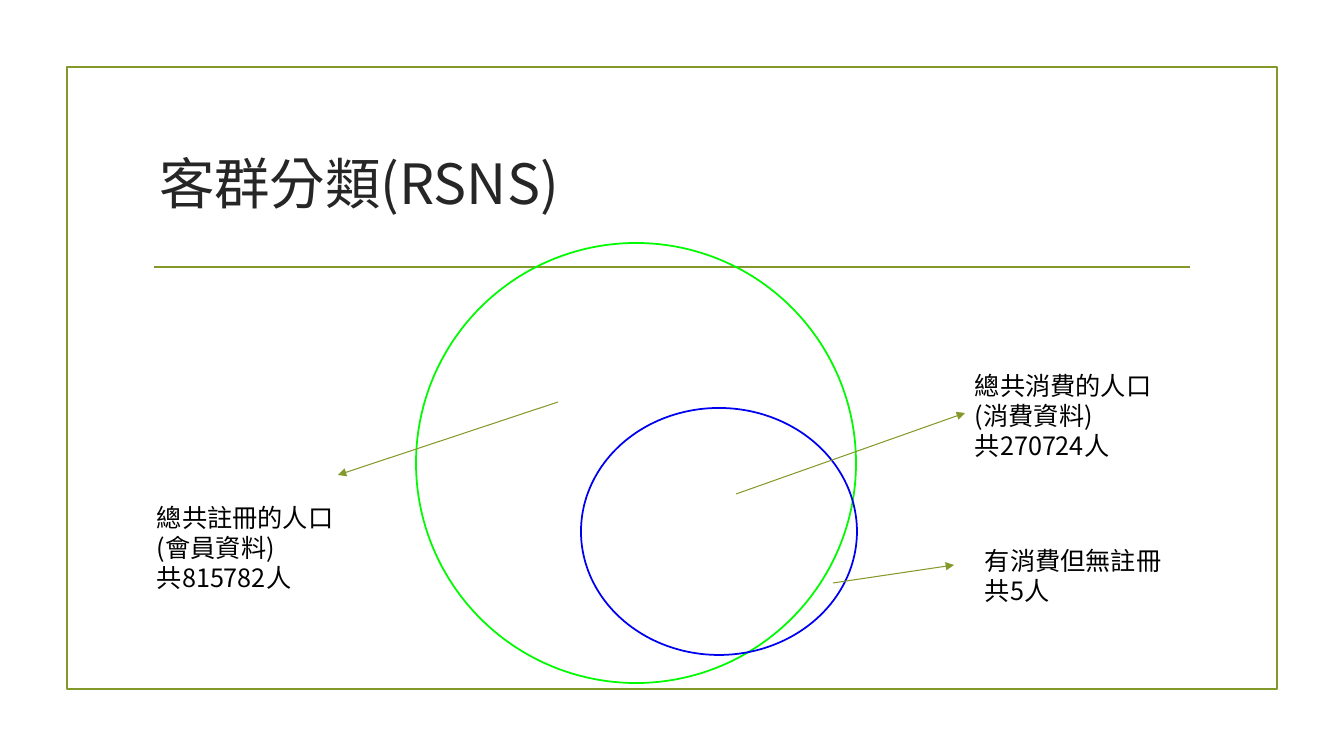
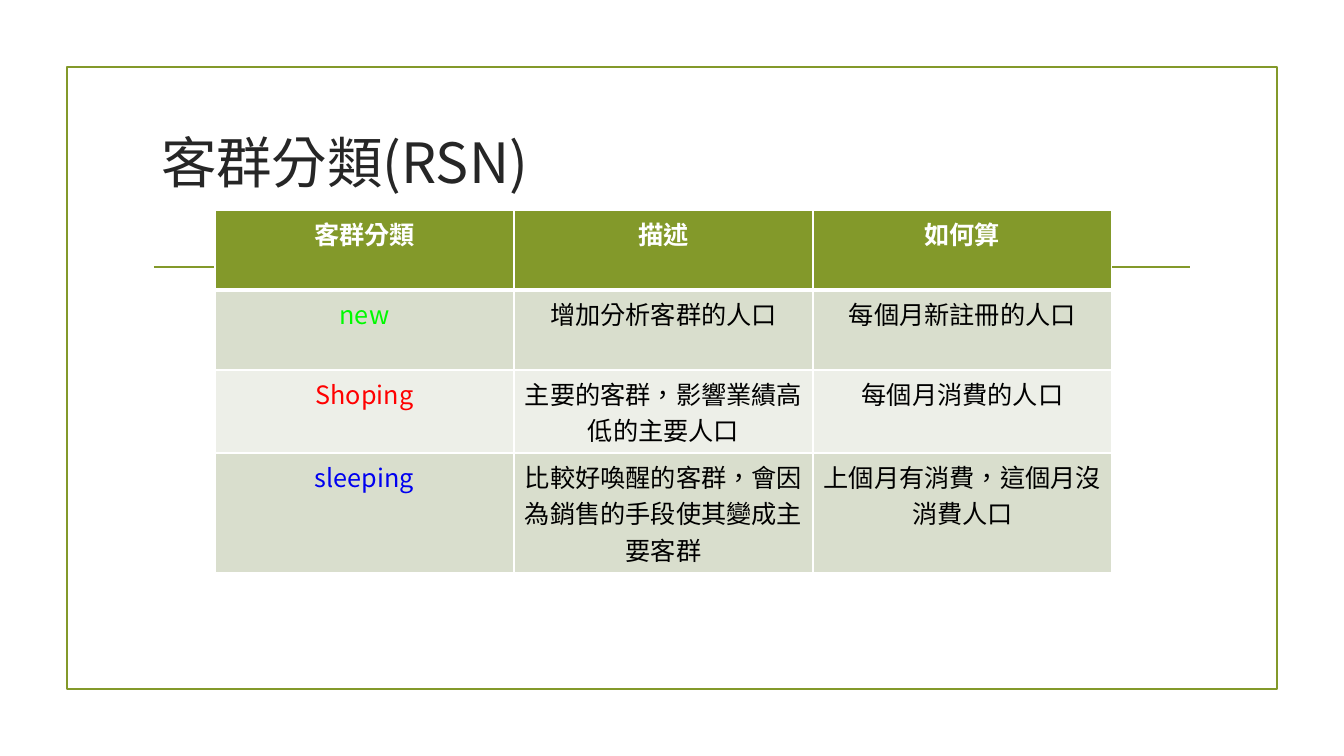
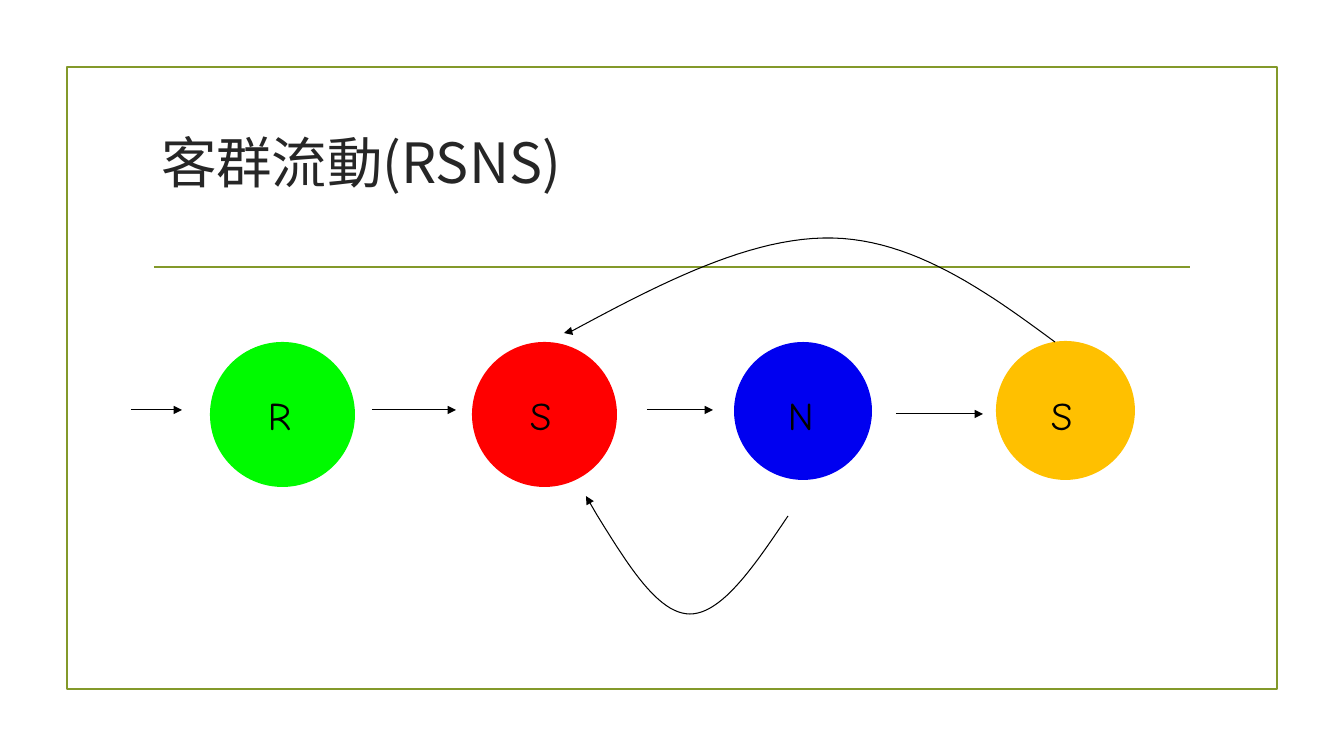
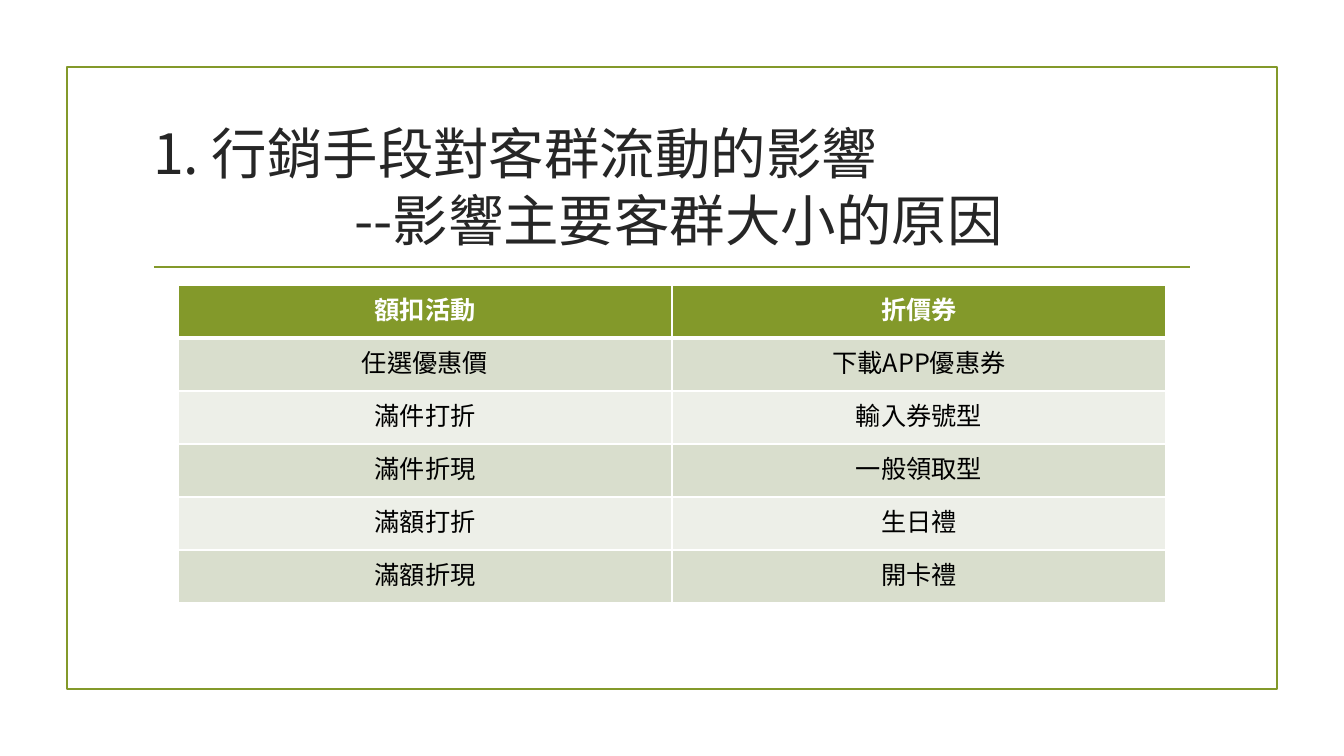
from lxml.etree import SubElement
from pptx import Presentation
from pptx.dml.color import RGBColor
from pptx.enum.shapes import MSO_CONNECTOR, MSO_SHAPE
from pptx.enum.text import MSO_ANCHOR as ANCHOR, PP_ALIGN as ALIGN
from pptx.oxml.ns import qn
from pptx.util import Pt

PX = 9071  # EMU in one px
CJK_FONT = "Noto Sans CJK SC"
LETTER_FONT = "Comic Neue"

OLIVE = RGBColor(0x83, 0x99, 0x2A)
DARK = RGBColor(0x26, 0x26, 0x26)
BLACK = RGBColor(0x00, 0x00, 0x00)
WHITE = RGBColor(0xFF, 0xFF, 0xFF)
GREEN = RGBColor(0x00, 0xFA, 0x00)
RED = RGBColor(0xFF, 0x00, 0x00)
BLUE = RGBColor(0x00, 0x00, 0xF0)
AMBER = RGBColor(0xFF, 0xC0, 0x00)
BAND_DARK = RGBColor(0xD9, 0xDE, 0xCD)
BAND_LIGHT = RGBColor(0xED, 0xEF, 0xE8)


def write_text(frame, text, size, color, font=CJK_FONT, bold=False,
               align=ALIGN.LEFT, spacing=None):
    frame.text = text
    frame.word_wrap = True
    for para in frame.paragraphs:
        para.alignment = align
        para.line_spacing = spacing
        for span in para.runs:
            span.font.size = Pt(size)
            span.font.bold = bold
            span.font.color.rgb = color
            span.font.name = font
            properties = span.font._element
            properties.set("lang", "zh-TW")
            SubElement(properties, qn("a:ea")).set("typeface", font)


def finish_line(shape, color, width, arrow=False):
    shape.line.color.rgb = color
    shape.line.width = Pt(width)
    properties = shape.element.spPr
    if arrow:
        SubElement(properties.find(qn("a:ln")), qn("a:tailEnd")).set("type", "triangle")
    SubElement(properties, qn("a:effectLst"))


deck = Presentation()
deck.slide_width, deck.slide_height = 1344 * PX, 756 * PX
layout = deck.slide_layouts[5]
for placeholder in list(layout.placeholders):
    if placeholder.placeholder_format.idx:
        placeholder.element.getparent().remove(placeholder.element)

# Slides and titles: text, left, top, height
titles = [
    ("客群分類(RSNS)", 149, 142, 80),
    ("客群分類(RSN)", 151, 121, 80),
    ("客群流動(RSNS)", 151, 121, 80),
    ("1. 行銷手段對客群流動的影響\n--影響主要客群大小的原因", 143, 114, 144),
]
pages = []
for text, left, top, height in titles:
    page = deck.slides.add_slide(layout)
    title = page.shapes.title
    title.left, title.top = left * PX, top * PX
    title.width, title.height = 1058 * PX, height * PX
    write_text(title.text_frame, text, 39.6, DARK, spacing=Pt(47.5))
    title.text_frame.vertical_anchor = ANCHOR.MIDDLE
    for para in title.text_frame.paragraphs[1:]:
        para._p.get_or_add_pPr().set("marL", str(201 * PX))
    pages.append(page)
groups_page, classes_page, flow_page, offers_page = pages

# Shared frame and title rule, kept on the layout
frame = groups_page.shapes.add_shape(MSO_SHAPE.RECTANGLE, 67 * PX, 67 * PX, 1210 * PX, 622 * PX)
frame.fill.background()
rule = groups_page.shapes.add_connector(MSO_CONNECTOR.STRAIGHT, 154 * PX, 267 * PX, 1190 * PX, 267 * PX)
for position, shape in enumerate((frame, rule), start=2):
    finish_line(shape, OLIVE, 1.25)
    layout.shapes.element.insert(position, shape.element)

# Slide 1: overlapping customer groups
for left, top, width, height, color in [
    (416, 243, 440, 440, GREEN),
    (581, 408, 276, 247, BLUE),
]:
    ellipse = groups_page.shapes.add_shape(
        MSO_SHAPE.OVAL, left * PX, top * PX, width * PX, height * PX)
    ellipse.fill.background()
    finish_line(ellipse, color, 1.25)

# Label text and box, arrow ends, whether the arrow is joined to the box
for text, (left, top, width, height), (x1, y1, x2, y2), joined in [
    ("總共註冊的人口\n(會員資料)\n共815782人", (147, 494, 224, 102), (558, 402, 338, 475), False),
    ("總共消費的人口\n(消費資料)\n共270724人", (965, 362, 231, 102), (736, 494, 965, 413), True),
    ("有消費但無註冊\n共5人", (975, 537, 223, 72), (833, 583, 954, 565), False),
]:
    box = groups_page.shapes.add_textbox(left * PX, top * PX, width * PX, height * PX)
    write_text(box.text_frame, text, 18, BLACK, spacing=Pt(21.6))
    box.text_frame.margin_top = 8 * PX
    arrow = groups_page.shapes.add_connector(
        MSO_CONNECTOR.STRAIGHT, x1 * PX, y1 * PX, x2 * PX, y2 * PX)
    finish_line(arrow, OLIVE, 0.75, arrow=True)
    if joined:
        arrow.end_connect(box, 1)

# Slides 2 and 4: tables
class_rows = [
    ["客群分類", "描述", "如何算"],
    ["new", "增加分析客群的人口", "每個月新註冊的人口"],
    ["Shoping", "主要的客群，影響業績高低的主要人口", "每個月消費的人口"],
    ["sleeping", "比較好喚醒的客群，會因為銷售的手段使其變成主\n要客群", "上個月有消費，這個月沒消費人口"],
]
offer_rows = [
    ["額扣活動", "折價券"],
    ["任選優惠價", "下載APP優惠券"],
    ["滿件打折", "輸入券號型"],
    ["滿件折現", "一般領取型"],
    ["滿額打折", "生日禮"],
    ["滿額折現", "開卡禮"],
]
class_colors = {"new": GREEN, "Shoping": RED, "sleeping": BLUE}
for page, rows, left, top, column_width, heights in [
    (classes_page, class_rows, 215, 210, 299, [80, 80, 80, 112]),
    (offers_page, offer_rows, 178, 285, 494, [53] * 6),
]:
    columns = len(rows[0])
    table = page.shapes.add_table(
        len(rows), columns, left * PX, top * PX,
        column_width * columns * PX, sum(heights) * PX).table
    for column in table.columns:
        column.width = column_width * PX
    for index, (texts, height) in enumerate(zip(rows, heights)):
        table.rows[index].height = height * PX
        header = index == 0
        fill = OLIVE if header else BAND_DARK if index % 2 else BAND_LIGHT
        for cell, text in zip(table.rows[index].cells, texts):
            color = WHITE if header else class_colors.get(text, BLACK)
            write_text(cell.text_frame, text, 18, color, bold=header, align=ALIGN.CENTER)
            # The line under the header is heavier than the others
            for side in ("L", "R", "T", "B"):
                heavy = (index, side) in [(0, "B"), (1, "T")]
                border = SubElement(cell._tc.get_or_add_tcPr(), qn("a:ln" + side))
                border.set("w", str(Pt(3 if heavy else 1)))
                paint = SubElement(border, qn("a:solidFill"))
                SubElement(paint, qn("a:srgbClr")).set("val", str(WHITE))
            cell.fill.solid()
            cell.fill.fore_color.rgb = fill

# Slide 3: stages at an equal step
for index, (letter, top, diameter, color) in enumerate([
    ("R", 342, 145, GREEN),
    ("S", 342, 145, RED),
    ("N", 342, 138, BLUE),
    ("S", 341, 139, AMBER),
]):
    left = 210 + 262 * index
    circle = flow_page.shapes.add_shape(
        MSO_SHAPE.OVAL, left * PX, top * PX, diameter * PX, diameter * PX)
    circle.shadow.inherit = False
    circle.fill.solid()
    circle.fill.fore_color.rgb = color
    circle.line.fill.background()
    box = flow_page.shapes.add_textbox(
        (left + (diameter - 49) // 2) * PX, 386 * PX, 49 * PX, 57 * PX)
    write_text(box.text_frame, letter, 28, BLACK, font=LETTER_FONT)

# Slide 3: forward arrows
for start, end, y in [(131, 182, 410), (372, 456, 410), (647, 713, 410), (896, 983, 414)]:
    arrow = flow_page.shapes.add_connector(
        MSO_CONNECTOR.STRAIGHT, start * PX, y * PX, end * PX, y * PX)
    finish_line(arrow, BLACK, 0.75, arrow=True)

# Slide 3: return arrows, each two cubic curves and a tip
for controls, tip in [
    ([(1055, 342), (985, 290), (913, 240), (833, 238), (752, 236), (661, 283), (572, 331)], (564, 333)),
    ([(788, 516), (755, 565), (722, 614), (690, 614), (658, 614), (628, 565), (597, 515)], (586, 496)),
]:
    points = []
    for first in (0, 3):
        for step in range(1, 25):
            t = step / 24
            weights = ((1 - t) ** 3, 3 * t * (1 - t) ** 2, 3 * t ** 2 * (1 - t), t ** 3)
            curve = controls[first:first + 4]
            points.append(tuple(
                round(PX * sum(weight * point[axis] for weight, point in zip(weights, curve)))
                for axis in (0, 1)))
    points.append((tip[0] * PX, tip[1] * PX))
    builder = flow_page.shapes.build_freeform(controls[0][0] * PX, controls[0][1] * PX)
    builder.add_line_segments(points, close=False)
    arc = builder.convert_to_shape()
    arc.fill.background()
    finish_line(arc, BLACK, 0.75, arrow=True)

deck.save("out.pptx")
